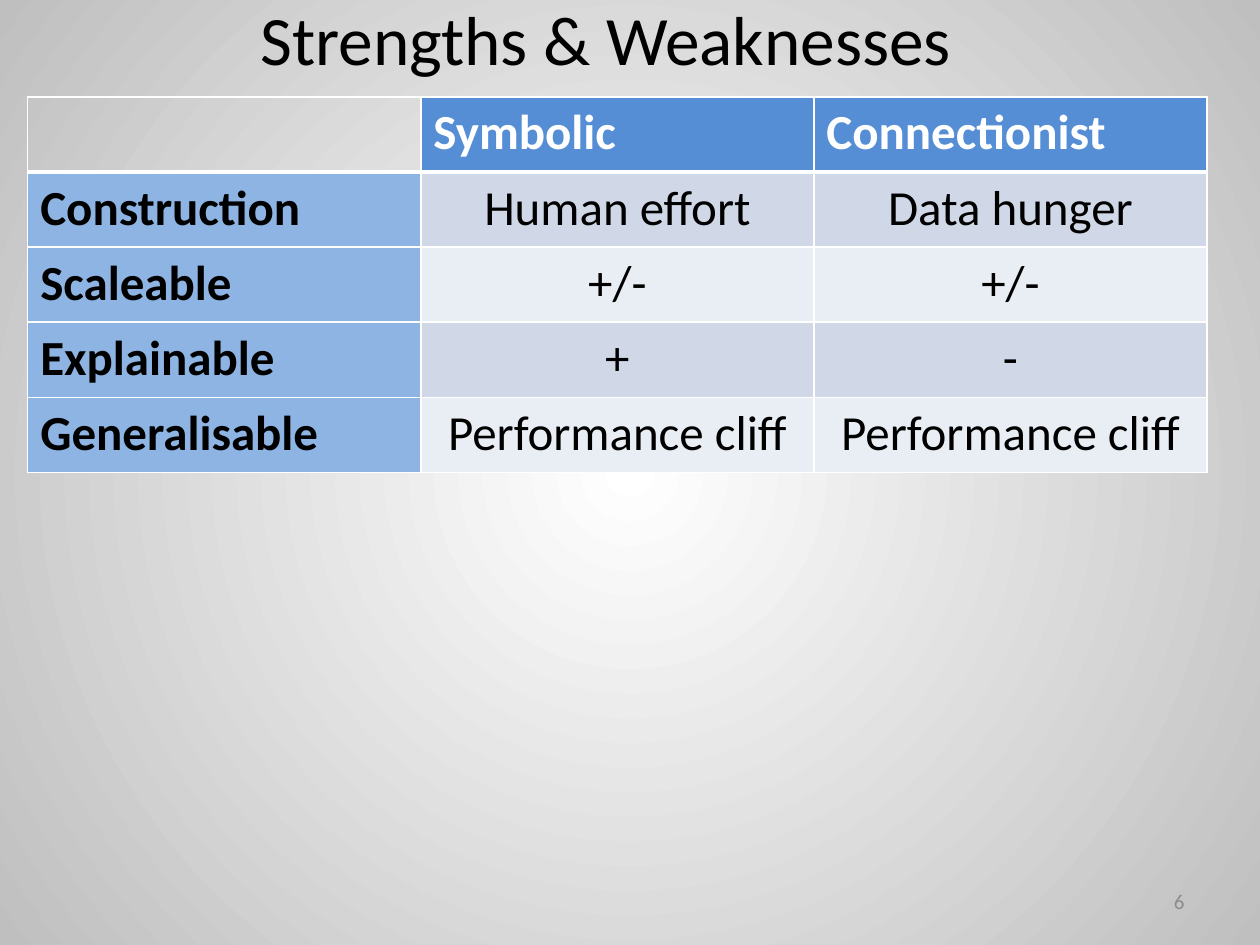
"""Build the slide comparing symbolic and connectionist approaches."""
from dataclasses import dataclass
from typing import Optional

from lxml import etree
from pptx import Presentation
from pptx import util as u
from pptx.dml.color import RGBColor
from pptx.enum import text
from pptx.oxml import ns

WHITE, BLACK = "FFFFFF", "000000"
HEADER, LABEL, BANDS = "558ED5", "8EB4E3", ("D0D8E8", "E9EDF4")
LEFT, CENTER, RIGHT = (text.PP_ALIGN.LEFT, text.PP_ALIGN.CENTER, text.PP_ALIGN.RIGHT)
COLUMN_WIDTH, ROW_HEIGHT = 224.64, 42.9
COMPARISON = (
    ("", "Symbolic", "Connectionist"),
    ("Construction", "Human effort", "Data hunger"),
    ("Scaleable", "+/-", "+/-"),
    ("Explainable", "+", "-"),
    ("Generalisable", "Performance cliff", "Performance cliff"),
)


@dataclass(frozen=True)
class Style:
    size: float
    color: str = BLACK
    bold: bool = False
    align: text.PP_ALIGN = LEFT
    fill: Optional[str] = None


def rgb(color: str) -> RGBColor:
    return RGBColor.from_string(color)


def set_all(target, values: dict) -> None:
    for name, value in values.items():
        setattr(target, name, value)


def write(frame, words: str, style: Style) -> None:
    frame.text = words
    paragraph = frame.paragraphs[0]
    paragraph.alignment = style.align
    set_all(paragraph.font, {"name": "Calibri", "size": u.Pt(style.size), "bold": style.bold})
    paragraph.font.color.rgb = rgb(style.color)


def place(shape, left: float, top: float, width: float, height: float) -> None:
    set_all(shape, {"left": u.Pt(left), "top": u.Pt(top),
                    "width": u.Pt(width), "height": u.Pt(height)})
    set_all(shape.text_frame, {"word_wrap": True, "auto_size": text.MSO_AUTO_SIZE.NONE,
                               "vertical_anchor": text.MSO_ANCHOR.MIDDLE})


def paint_background(slide, center: str, edge: str) -> None:
    fill = slide.background.fill
    fill.gradient()
    for stop, (position, color) in zip(fill.gradient_stops, ((0, center), (1, edge))):
        stop.position = position
        stop.color.rgb = rgb(color)
    gradient = slide.background._cSld.find(".//" + ns.qn("a:gradFill"))
    gradient.remove(gradient.find(ns.qn("a:lin")))
    circle = etree.SubElement(gradient, ns.qn("a:path"), path="circle")
    etree.SubElement(circle, ns.qn("a:fillToRect"), dict.fromkeys("ltrb", "50000"))


def add_borders(cell, widths: dict) -> None:
    properties = cell._tc.get_or_add_tcPr()
    for index, (side, width) in enumerate(widths.items()):
        line = etree.Element(ns.qn(f"a:ln{side}"), w=str(u.Pt(width)))
        solid = etree.SubElement(line, ns.qn("a:solidFill"))
        etree.SubElement(solid, ns.qn("a:srgbClr"), val=str(rgb(WHITE)))
        properties.insert(index, line)


def cell_style(row: int, column: int) -> Style:
    if row == 0:
        return Style(28, WHITE, True, fill=HEADER if column else None)
    if column == 0:
        return Style(28, bold=True, fill=LABEL)
    return Style(28, align=CENTER, fill=BANDS[(row - 1) % 2])


def add_comparison(slide, left: float, top: float) -> None:
    rows, columns = len(COMPARISON), len(COMPARISON[0])
    table = slide.shapes.add_table(
        rows, columns, u.Pt(left), u.Pt(top),
        u.Pt(columns * COLUMN_WIDTH), u.Pt(rows * ROW_HEIGHT)).table
    set_all(table, {"first_row": False, "horz_banding": False})
    for row, entries in enumerate(COMPARISON):
        for column, entry in enumerate(entries):
            cell, style = table.cell(row, column), cell_style(row, column)
            write(cell.text_frame, entry, style)
            if style.fill:
                cell.fill.solid()
                cell.fill.fore_color.rgb = rgb(style.fill)
            else:
                cell.fill.background()
            add_borders(cell, {"L": 1, "R": 1, "T": 3 if row == 1 else 1,
                               "B": 1 if row else 3})


def main() -> None:
    deck = Presentation()
    set_all(deck, {"slide_width": u.Pt(720), "slide_height": u.Pt(540)})
    slide = deck.slides.add_slide(deck.slide_layouts[5])
    paint_background(slide, WHITE, "BFBFBF")
    heading = slide.shapes.title
    place(heading, 22.3, -1.4, 648, 46)
    write(heading.text_frame, "Strengths & Weaknesses", Style(39.6, align=CENTER))
    add_comparison(slide, 15.84, 55.44)
    page_number = slide.shapes.add_textbox(0, 0, 0, 0)
    place(page_number, 516, 500.5, 168, 28.75)
    write(page_number.text_frame, "6", Style(12, "8C8C8C", align=RIGHT))
    deck.save("out.pptx")


if __name__ == "__main__":
    main()
